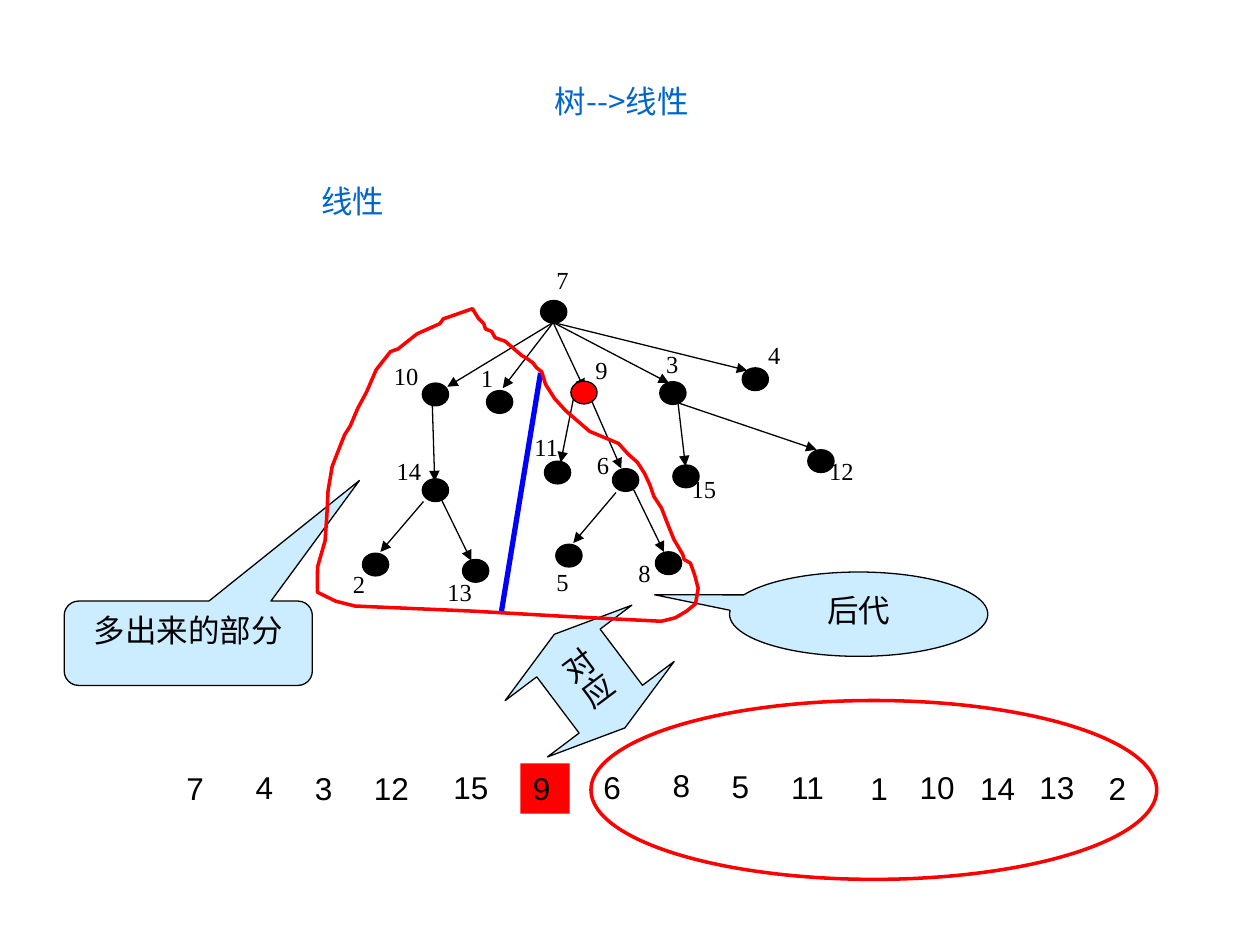
from pptx import Presentation
from pptx.util import Pt
from pptx.dml.color import RGBColor
from pptx.enum.shapes import MSO_SHAPE as Kind, MSO_CONNECTOR as Link
from pptx.enum.text import PP_ALIGN as Align, MSO_ANCHOR as Anchor
from pptx.oxml.ns import qn
from lxml.etree import SubElement as Sub

HEX = {"ink": "000000", "red": "FF0000", "blue": "0000FF", "head": "0066CC", "pale": "CCECFF"}
CJK = "Noto Sans CJK SC"

NODES = {
    "7": (136.4, 34.2), "10": (68.8, 81.4), "1": (105.5, 85.7), "9": (153.7, 80.3),
    "3": (204.5, 80.6), "4": (251.6, 72.7), "14": (68.8, 136.1), "2": (34.6, 178.6),
    "13": (91.8, 182.2), "11": (138.6, 126), "6": (177.5, 130.3), "5": (145.1, 173.5),
    "8": (202, 177.8), "15": (212, 128.2), "12": (289.1, 119.5),
}
LABELS = {
    "7": (126.7, 7.2), "10": (37.4, 62.6), "1": (83.5, 63.4), "9": (149, 59),
    "3": (189.4, 55.4), "4": (247.7, 50.4), "14": (38.9, 116.6), "2": (21.6, 181.4),
    "13": (75.6, 185.8), "11": (117.4, 103), "6": (149.8, 113), "5": (126.7, 180),
    "8": (173.5, 175), "15": (207.4, 126.7), "12": (293.8, 116.6),
}
ROOT = (136.1, 40.3)
EDGES = [
    (ROOT, (75.6, 77)), (ROOT, (107.3, 77.8)), (ROOT, (154, 78.5)),
    (ROOT, (202.3, 74.9)), (ROOT, (247, 67.7)),
    ((67, 85.7), (68.4, 131)), ((62, 142.6), (37.4, 171.4)), ((72, 141), (89.3, 176.4)),
    ((147.6, 84.2), (140.4, 120.2)), ((157.7, 84.2), (175, 123.8)),
    ((172, 137.5), (147.6, 166.3)), ((182.2, 136), (199.4, 171.4)),
    ((207.4, 85.7), (211.7, 122.4)), ((206, 85.7), (286.6, 113)),
]
LOOP = [
    (90, 32.4), (93.5, 38), (96.5, 41), (97.5, 44), (101, 45.4), (103, 49), (108.7, 51),
    (118, 59), (121.7, 61.2), (124.6, 63.4), (126.7, 66.2), (129.6, 68.4), (131.8, 75.6),
    (137, 83.8), (143.3, 90.7), (157, 102.5), (173.5, 109.4), (179, 115.5), (184.3, 120.2),
    (188.3, 126.4), (191.5, 133.2), (193.7, 139.7), (198, 146.2), (201, 154), (205, 164),
    (210.2, 172.8), (211, 175.7), (214.6, 177.8), (217, 184.5), (219, 192.2), (217.5, 201),
    (212.4, 205.2), (206, 209), (198, 211), (144, 208.3), (90, 205.2), (23, 202.3),
    (12, 199.6), (1.4, 194.4), (1.5, 180), (5.8, 165), (6.8, 151), (7.5, 136.4),
    (9.9, 122.4), (15, 109.4), (17, 104.4), (20.2, 99.4), (24.5, 89.3), (29.5, 80),
    (35, 67.3), (43.2, 56.9), (47.5, 55.4), (58.3, 46.8), (71.3, 41), (73.4, 38.2), (77.8, 36.7),
]
ITEMS = [
    ("7", 0, 2), ("4", 39.6, 1.3), ("3", 73.4, 2), ("12", 107.2, 2), ("15", 152.6, 1.3),
    ("9", 198, 2), ("6", 238.3, 1.3), ("8", 277.9, 0), ("5", 311.6, 0.7), ("11", 345.6, 1.3),
    ("1", 390.9, 2), ("10", 419, 1.3), ("14", 453.6, 2), ("13", 487.4, 1.3), ("2", 527, 2),
]


def tint(name):
    """Return a named colour."""
    return RGBColor.from_string(HEX[name])


def write(shape, text, size=18, font="Arial", color="ink", align=Align.CENTER,
          pad=(7.2, 3.6), wrap=True, anchor=Anchor.TOP):
    """Put formatted text into a shape."""
    frame = shape.text_frame
    frame.word_wrap, frame.vertical_anchor = wrap, anchor
    frame.margin_left = frame.margin_right = Pt(pad[0])
    frame.margin_top = frame.margin_bottom = Pt(pad[1])
    par = frame.paragraphs[0]
    par.alignment = align
    run = par.add_run()
    run.text = text
    run.font.size, run.font.name = Pt(size), font
    run.font.color.rgb = tint(color)
    Sub(run.font._element, qn("a:ea")).set("typeface", CJK)


def label(slide, box, text, **form):
    """Add a text box."""
    write(slide.shapes.add_textbox(*map(Pt, box)), text, **form)


def dress(shape, fill, line, width):
    """Set the fill and line of a shape."""
    shape.shadow.inherit = False
    if fill:
        shape.fill.solid()
        shape.fill.fore_color.rgb = tint(fill)
    else:
        shape.fill.background()
    if line:
        shape.line.color.rgb = tint(line)
        shape.line.width = Pt(width)
    else:
        shape.line.fill.background()


def form(slide, kind, box, fill=None, line="ink", width=0.75, adj=()):
    """Add a preset shape with its adjust values."""
    shape = slide.shapes.add_shape(kind, *map(Pt, box))
    dress(shape, fill, line, width)
    if adj:
        guides = shape._element.spPr.find(".//" + qn("a:avLst"))
        guides.clear()
        for i, val in enumerate(adj, 1):
            Sub(guides, qn("a:gd"), name=f"adj{i}", fmla=f"val {round(val * 100000)}")
    return shape


def join(slide, box, start, end, color="ink", width=0.75, arrow=True):
    """Draw a line between two points of a box."""
    left, top = box
    ends = [left + start[0], top + start[1], left + end[0], top + end[1]]
    line = slide.shapes.add_connector(Link.STRAIGHT, *map(Pt, ends))
    line.line.color.rgb = tint(color)
    line.line.width = Pt(width)
    if arrow:
        Sub(line.line._get_or_add_ln(), qn("a:tailEnd")).set("type", "triangle")
    Sub(line._element.spPr, qn("a:effectLst"))


def heads(slide, box):
    """Place the title and the subtitle."""
    left, top = box
    look = dict(font=CJK, color="head", wrap=False)
    title = slide.shapes.title
    title.left, title.top, title.width, title.height = map(Pt, (left + 147.6, top, 126, 36))
    write(title, "树-->线性", **look)
    label(slide, (left, top + 57, 113.8, 51), "线性", **look)


def tree(slide, box):
    """Draw the tree with its labels and dividing line."""
    left, top = box
    for start, end in EDGES:
        join(slide, box, start, end)
    for name, (x, y) in NODES.items():
        spot = (left + x - 7.5, top + y - 6.5, 15, 13)
        form(slide, Kind.OVAL, spot, "red" if name == "9" else "ink")
    for name, (x, y) in LABELS.items():
        align = Align.LEFT if name in ("12", "2", "13") else Align.CENTER
        label(slide, (left + x, top + y, 29.5, 25), name, size=14,
              font="Times New Roman", align=align, pad=(0, 0))
    join(slide, box, (128.9, 69.1), (106.6, 205.2), "blue", 3, arrow=False)


def notes(slide, box):
    """Place the callouts and the double arrow."""
    left, top = box
    arrow = form(slide, Kind.UP_DOWN_ARROW, (left + 254.9, top + 28.8, 90.7, 67),
                 "pale", adj=(0.5, 0.2))
    arrow.rotation = 323
    write(arrow, "对应", pad=(3.6, 7.2), wrap=False, anchor=Anchor.MIDDLE)
    arrow.text_frame._txBody.bodyPr.set("vert", "eaVert")
    heir = form(slide, Kind.OVAL_CALLOUT, (left + 380.2, top, 147.6, 48.2),
                "pale", adj=(-0.79, -0.23))
    write(heir, "后代")
    extra = form(slide, Kind.ROUNDED_RECTANGULAR_CALLOUT, (left, top + 16.6, 141.8, 48.2),
                 "pale", adj=(0.69, -1.93, 0.17))
    write(extra, "多出来的部分")


def row(slide, box):
    """Lay out the linear order with its marks."""
    left, top = box
    form(slide, Kind.OVAL, (left + 238.3, top - 33.9, 323.3, 102.2), line="red", width=2)
    form(slide, Kind.RECTANGLE, (left + 198, top + 2, 28.1, 28.8), "red", None)
    for text, x, y in ITEMS:
        label(slide, (left + x, top + y, 39.6, 28.8), text, align=Align.LEFT)


def loop(slide, box):
    """Trace the red outline around the subtrees."""
    pts = [(Pt(box[0] + x), Pt(box[1] + y)) for x, y in LOOP]
    pen = slide.shapes.build_freeform(*pts[0])
    pen.add_line_segments(pts[1:], close=True)
    dress(pen.convert_to_shape(), None, "red", 2)


def main():
    """Build and save the slide."""
    deck = Presentation()
    deck.slide_width, deck.slide_height = Pt(720), Pt(540)
    slide = deck.slides.add_slide(deck.slide_layouts[5])
    heads(slide, (144.7, 43.2))
    tree(slide, (180, 144))
    notes(slide, (36.7, 326.9))
    row(slide, (99.4, 434.2))
    loop(slide, (180, 144))
    deck.save("out.pptx")


if __name__ == "__main__":
    main()
